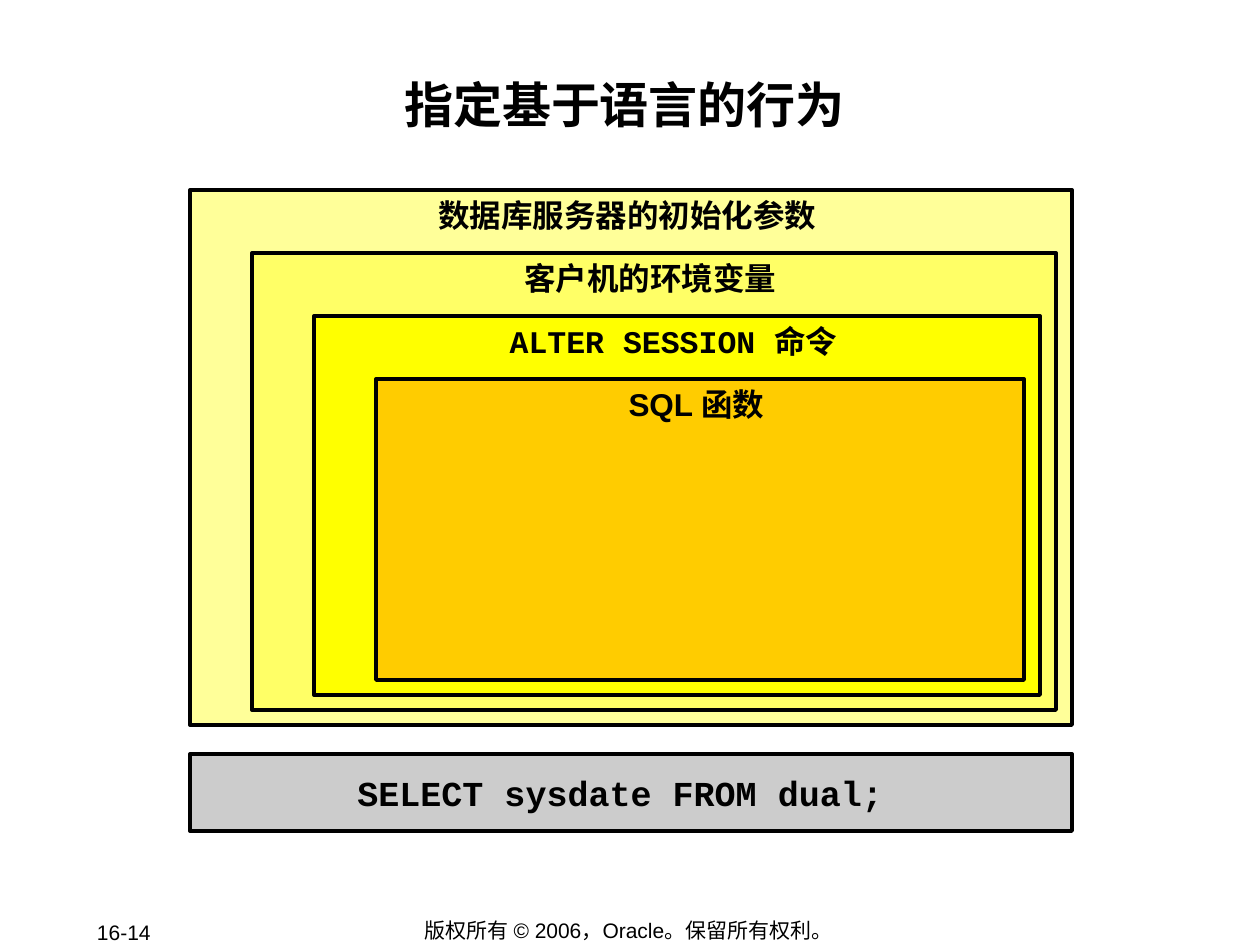
"""Build a slide of nested scopes for language-dependent behaviour."""
import pptx
import pptx.dml.color
import pptx.enum.shapes
import pptx.enum.text
import pptx.util

SCALE = 914400 / 126
ALIGN = pptx.enum.text.PP_ALIGN
ANCHOR = pptx.enum.text.MSO_ANCHOR
SCOPES = [
    ("数据库服务器的初始化参数 ", "FFFF99", "Arial"),
    ("客户机的环境变量 ", "FFFF66", "Arial"),
    ("ALTER SESSION 命令 ", "FFFF00", "Courier New"),
    ("SQL 函数 ", "FFCC00", "Arial"),
]


def px(length):
    return pptx.util.Emu(round(length * SCALE))


def color(value):
    return pptx.dml.color.RGBColor.from_string(value)


def set_text(shape, text, size, font="Arial", bold=True, align=ALIGN.CENTER,
             anchor=ANCHOR.TOP, margins=(6, 6), wrap=True):
    frame = shape.text_frame
    frame.text = text
    frame.word_wrap = wrap
    frame.auto_size = pptx.enum.text.MSO_AUTO_SIZE.NONE
    frame.vertical_anchor = anchor
    frame.margin_left = frame.margin_right = px(margins[0])
    frame.margin_top = frame.margin_bottom = px(margins[1])
    paragraph = frame.paragraphs[0]
    paragraph.alignment = align
    paragraph.space_before = pptx.util.Pt(0)
    for run in paragraph.runs:
        run.font.name = font
        run.font.size = pptx.util.Pt(size)
        run.font.bold = bold
        run.font.color.rgb = color("000000")


def set_title(slide, text):
    title = slide.shapes.title
    title.left, title.top, title.width, title.height = map(px, (126, 73, 1008, 121))
    set_text(title, text, 28, margins=(1, 1))


def add_box(slide, left, top, right, bottom, fill):
    shape = slide.shapes.add_shape(
        pptx.enum.shapes.MSO_SHAPE.RECTANGLE,
        px(left), px(top), px(right - left), px(bottom - top))
    shape.shadow.inherit = False
    shape.fill.solid()
    shape.fill.fore_color.rgb = color(fill)
    shape.line.color.rgb = color("000000")
    shape.line.width = pptx.util.Pt(2.25)
    return shape


def add_scopes(slide):
    for level, (label, fill, font) in enumerate(SCOPES):
        box = add_box(slide, 190 + 62 * level, 190 + 63 * level,
                      1072 - 16 * level, 725 - 15 * level, fill)
        set_text(box, label, 18, font)


def add_footer(slide, left, top, width, height, text, align):
    box = slide.shapes.add_textbox(px(left), px(top), px(width), px(height))
    set_text(box, text, 12, bold=False, align=align, anchor=ANCHOR.MIDDLE,
             margins=(13, 6), wrap=False)


def main():
    presentation = pptx.Presentation()
    presentation.slide_width = px(1260)
    presentation.slide_height = px(945)
    slide = presentation.slides.add_slide(presentation.slide_layouts[5])
    set_title(slide, "指定基于语言的行为 ")
    query = add_box(slide, 190, 754, 1072, 831, "CCCCCC")
    set_text(query, "SELECT sysdate FROM dual; ", 20, "Courier New",
             anchor=ANCHOR.MIDDLE, margins=(13, 1))
    add_scopes(slide)
    add_footer(slide, 348, 917, 566, 26,
               "版权所有 © 2006，Oracle。保留所有权利。 ", ALIGN.CENTER)
    add_footer(slide, 84, 920, 134, 25, "16-14 ", ALIGN.LEFT)
    presentation.save("out.pptx")


if __name__ == "__main__":
    main()
